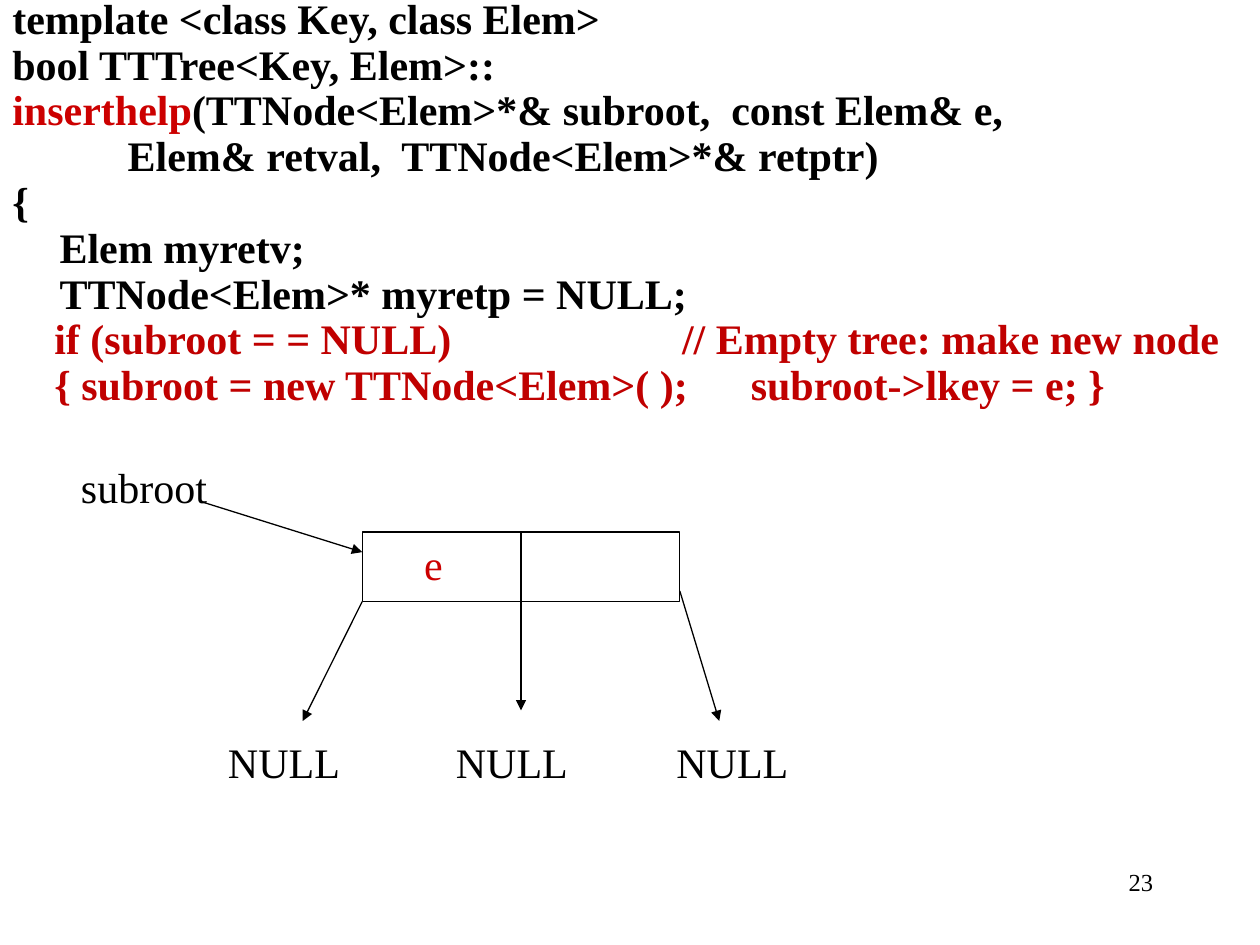
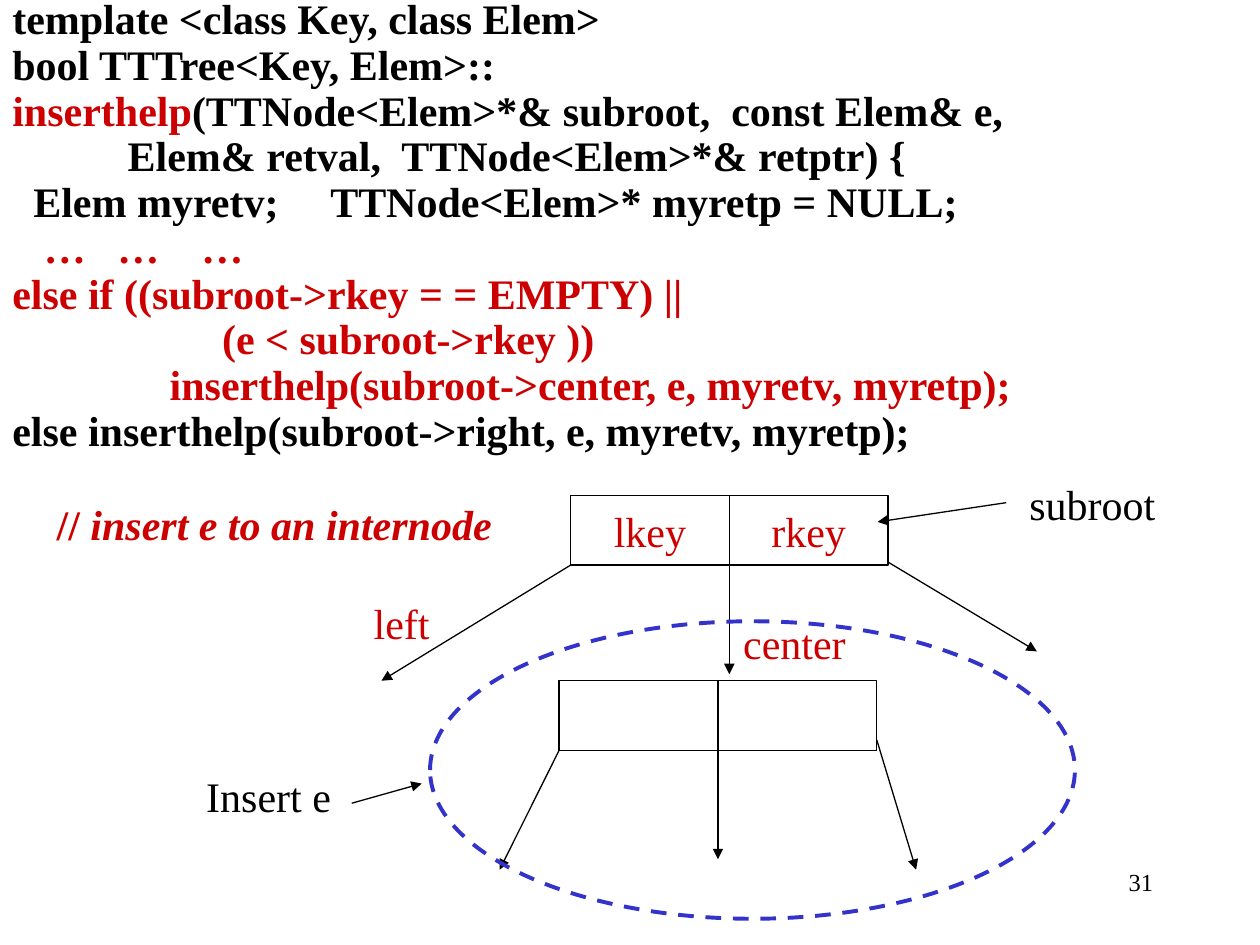
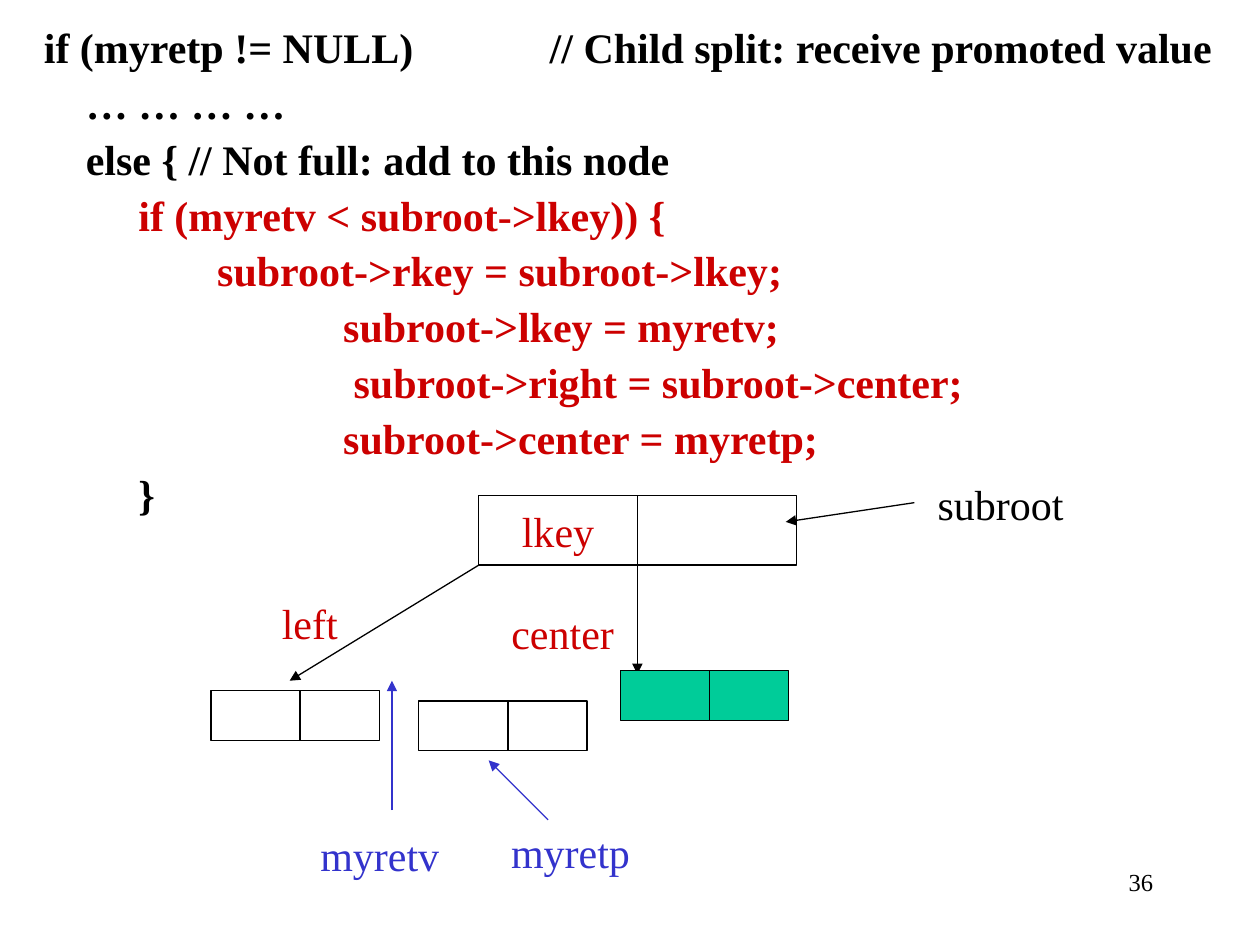
from lxml.etree import SubElement
from pptx import Presentation
from pptx.dml.color import RGBColor
from pptx.enum.dml import MSO_LINE_DASH_STYLE as Dash
from pptx.enum.shapes import MSO_CONNECTOR as Connector, MSO_SHAPE as Preset
from pptx.enum.text import MSO_ANCHOR as Anchor, MSO_AUTO_SIZE as AutoSize, PP_ALIGN as Align
from pptx.oxml.ns import qn
from pptx.util import Pt

BLACK = RGBColor(0x00, 0x00, 0x00)
RED = RGBColor(0xCC, 0x00, 0x00)
DARK_RED = RGBColor(0xC0, 0x00, 0x00)
BLUE = RGBColor(0x33, 0x33, 0xCC)
GREEN = RGBColor(0x00, 0xCC, 0x99)

FONT = "Times New Roman"
TEXT_SIZE = 24
NUMBER_SIZE = 14
LABEL_HEIGHT = 36
HANGING = 27
TAB_STOPS = [72 * inch for inch in range(8)]
CELL, NODE_HEIGHT = 90.75, 39.75
SMALL_CELLS, SMALL_HEIGHT = (51, 45.25), 28.5

SIGNATURE = [
    [("template <class Key, class Elem>", BLACK)],
    [("bool TTTree<Key, Elem>::", BLACK)],
    [("inserthelp", RED), ("(TTNode<Elem>*& subroot,  const Elem& e,", BLACK)],
]
EMPTY_TREE_CODE = SIGNATURE + [
    [("           Elem& retval,  TTNode<Elem>*& retptr)", BLACK)],
    [("{", BLACK)],
    [("  \tElem myretv;", BLACK)],
    [("\tTTNode<Elem>* myretp = NULL;", BLACK)],
    [("    if (subroot = = NULL)                      // Empty tree: make new node", DARK_RED)],
    [("    { subroot = new TTNode<Elem>( );      subroot->lkey = e; }", DARK_RED)],
]
CENTER_INSERT_CODE = SIGNATURE + [
    [("           Elem& retval,  TTNode<Elem>*& retptr) {", BLACK)],
    [("  Elem myretv;     TTNode<Elem>* myretp = NULL;", BLACK)],
    [("   ", BLACK), ("…   …    …", RED)],
    [("else if ((subroot->rkey = = EMPTY) ||", RED)],
    [("                    (e < subroot->rkey ))", RED)],
    [("               inserthelp(subroot->center, e, myretv, myretp);", RED)],
    [("else inserthelp(subroot->right, e, myretv, myretp);", BLACK)],
]
PROMOTE_CODE = [
    [("if (myretp != NULL)             // Child split: receive promoted value", BLACK)],
    [("    … … … …", BLACK)],
    [("    else { // Not full: add to this node", BLACK)],
    [("         ", BLACK), ("if (myretv < subroot->lkey)) {", RED)],
    [("subroot->rkey = subroot->lkey;", RED)],
    [("subroot->lkey = myretv;", RED)],
    [(" subroot->right = subroot->center;", RED)],
    [("subroot->center = myretp;", RED)],
    [("         }", BLACK)],
]
PROMOTE_INDENTS = {4: 99, 5: 171, 6: 171, 7: 171}


def style_run(run, color, size=TEXT_SIZE, bold=False, italic=False):
    font = run.font
    font.name, font.size = FONT, Pt(size)
    font.bold, font.italic = bold, italic
    font.color.rgb = color


def add_text_frame(slide, left, top, width, height, wrap=True):
    box = slide.shapes.add_textbox(Pt(left), Pt(top), Pt(width), Pt(height))
    box.text_frame.word_wrap = wrap
    return box.text_frame


def add_code(slide, left, top, width, height, lines, line_spacing, indents=None):
    frame = add_text_frame(slide, left, top, width, height)
    indents = indents or {}
    for index, line in enumerate(lines):
        paragraph = frame.add_paragraph() if index else frame.paragraphs[0]
        properties = paragraph._p.get_or_add_pPr()
        properties.set("marL", str(Pt(indents.get(index, HANGING))))
        properties.set("indent", str(Pt(0 if index in indents else -HANGING)))
        tab_list = SubElement(properties, qn("a:tabLst"))
        for stop in TAB_STOPS:
            SubElement(tab_list, qn("a:tab"), pos=str(Pt(stop)), algn="l")
        paragraph.line_spacing = line_spacing
        paragraph.space_before = Pt(6 if index else 0)
        for text, color in line:
            run = paragraph.add_run()
            run.text = text
            style_run(run, color, bold=True)


def add_label(slide, left, top, width, text, color=BLACK):
    frame = add_text_frame(slide, left, top, width, LABEL_HEIGHT, wrap=False)
    frame.auto_size = AutoSize.SHAPE_TO_FIT_TEXT
    frame.text = text
    paragraph = frame.paragraphs[0]
    paragraph.alignment = Align.CENTER
    style_run(paragraph.runs[0], color)
    return paragraph


def add_page_number(slide, number):
    frame = add_text_frame(slide, 516, 492, 150, 36)
    frame.text = str(number)
    paragraph = frame.paragraphs[0]
    paragraph.alignment = Align.RIGHT
    style_run(paragraph.runs[0], BLACK, NUMBER_SIZE)


def add_outline(slide, preset, left, top, width, height, color=BLACK, weight=0.75):
    shape = slide.shapes.add_shape(preset, Pt(left), Pt(top), Pt(width), Pt(height))
    shape.shadow.inherit = False
    shape.fill.background()
    shape.line.color.rgb = color
    shape.line.width = Pt(weight)
    return shape


def add_arrow(slide, start, end, color=BLACK):
    ends = [Pt(value) for value in (*start, *end)]
    arrow = slide.shapes.add_connector(Connector.STRAIGHT, *ends)
    arrow.line.color.rgb = color
    arrow.line.width = Pt(0.75)
    SubElement(arrow.line._get_or_add_ln(), qn("a:tailEnd"), type="triangle")
    SubElement(arrow._element.spPr, qn("a:effectLst"))


def add_node(slide, left, top, widths=(CELL, CELL), height=NODE_HEIGHT,
             keys=("", ""), fill=None):
    for width, key in zip(widths, keys):
        cell = add_outline(slide, Preset.RECTANGLE, left, top, width, height)
        if fill is not None:
            cell.fill.solid()
            cell.fill.fore_color.rgb = fill
        if key:
            frame = cell.text_frame
            frame.word_wrap = False
            frame.vertical_anchor = Anchor.MIDDLE
            frame.text = key
            frame.paragraphs[0].alignment = Align.CENTER
            style_run(frame.paragraphs[0].runs[0], RED)
        left += width


def add_node_with_pointers(slide, left, top):
    add_node(slide, left, top)
    bottom, middle, right = top + NODE_HEIGHT, left + CELL, left + 2 * CELL
    add_arrow(slide, (left, bottom), (left - 34, bottom + 68.25))
    add_arrow(slide, (middle, bottom), (middle, bottom + 62.25))
    add_arrow(slide, (right, bottom - 6), (right + 22.5, bottom + 68.25))


def add_subroot(slide, left, top, keys):
    add_node(slide, left, top, keys=keys)
    bottom, middle = top + NODE_HEIGHT, left + CELL
    add_arrow(slide, (left, bottom), (left - 108, bottom + 66))
    add_arrow(slide, (middle, bottom), (middle, bottom + 62.25))
    add_arrow(slide, (left + 249, top + 4), (left + 175.5, top + 15))
    add_label(slide, left - 120.5, top + 54.5, 48, "left", RED)
    add_label(slide, left + 255, top - 13.25, 86.5, "subroot")


def build_empty_tree(slide):
    add_code(slide, 0, 0, 720, 540, EMPTY_TREE_CODE, 0.7)
    add_node_with_pointers(slide, 207, 304)
    for left in (123, 253.25, 379.25):
        add_label(slide, left, 417.5, 78.5, "NULL")
    add_label(slide, 39, 260, 86.5, "subroot")
    add_arrow(slide, (116, 287), (207, 315.5))
    add_label(slide, 235.25, 304, 25, "e", RED)


def build_center_insert(slide):
    add_code(slide, 0, 0, 700.5, 276, CENTER_INSERT_CODE, 0.7)
    left, top = 326, 283.25
    add_subroot(slide, left, top, ("lkey", "rkey"))
    add_arrow(slide, (left + 2 * CELL, top + 38), (left + 266.5, top + 89))
    add_label(slide, 417.5, 349.25, 73, "center", RED)
    add_node_with_pointers(slide, 319.5, 389)
    ellipse = add_outline(slide, Preset.OVAL, 245.75, 355, 368.5, 170, BLUE, 2.25)
    ellipse.line.dash_style = Dash.DASH
    add_arrow(slide, (201, 459), (241, 447.75))
    add_label(slide, 110.5, 436.5, 86, "Insert e")
    comment = add_label(slide, 25.25, 281.5, 263, "//", RED)
    style_run(comment.runs[0], RED, bold=True)
    run = comment.add_run()
    run.text = " insert e to an internode"
    style_run(run, RED, bold=True, italic=True)


def build_promotion(slide):
    add_code(slide, 18, 12, 702, 326, PROMOTE_CODE, 0.9, PROMOTE_INDENTS)
    add_subroot(slide, 273.5, 283.25, ("lkey", ""))
    add_label(slide, 285, 343.5, 73, "center", RED)
    for left, top, fill in ((120.5, 394.5, None), (239.25, 400.5, None), (354.5, 383.25, GREEN)):
        add_node(slide, left, top, SMALL_CELLS, SMALL_HEIGHT, fill=fill)
    add_label(slide, 175, 470.5, 84, "myretv", BLUE)
    add_arrow(slide, (224, 463), (224, 389), BLUE)
    add_label(slide, 284, 468.5, 84, "myretp", BLUE)
    add_arrow(slide, (313.25, 468.5), (279.25, 434.5), BLUE)


def main():
    presentation = Presentation()
    presentation.slide_width, presentation.slide_height = Pt(720), Pt(540)
    pages = ((23, build_empty_tree), (31, build_center_insert), (36, build_promotion))
    for number, build in pages:
        slide = presentation.slides.add_slide(presentation.slide_layouts[6])
        add_page_number(slide, number)
        build(slide)
    presentation.save("out.pptx")


if __name__ == "__main__":
    main()
